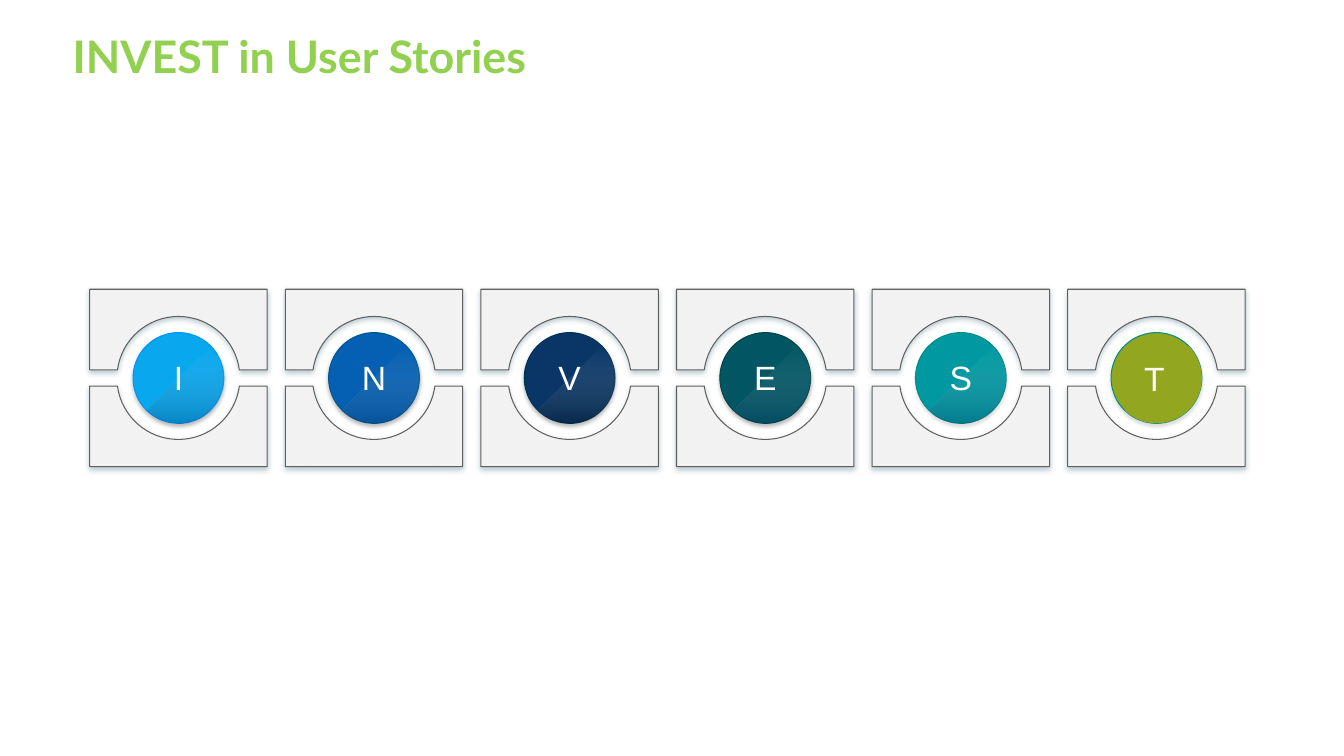
from dataclasses import dataclass
from math import asin, cos, degrees, radians, sin, tan

from lxml.etree import SubElement
from pptx import Presentation
from pptx.dml.color import RGBColor
from pptx.enum.shapes import MSO_SHAPE
from pptx.enum.text import MSO_ANCHOR, MSO_AUTO_SIZE, PP_ALIGN
from pptx.oxml.ns import qn
from pptx.shapes.autoshape import Shape
from pptx.slide import Slide
from pptx.util import Inches, Pt

WHITE = RGBColor(0xFF, 0xFF, 0xFF)
BLACK = RGBColor(0x00, 0x00, 0x00)
TITLE_GREEN = RGBColor(0x92, 0xD0, 0x50)
PANEL_FILL = RGBColor(0xF2, 0xF2, 0xF2)
PANEL_LINE = RGBColor(0x60, 0x60, 0x60)
PANEL_SHADOW = RGBColor(0x00, 0x46, 0x5B)
SHEEN_BLUE = RGBColor(0x01, 0x31, 0x5D)
SHEEN_DARK = RGBColor(0x00, 0x0C, 0x16)
OLIVE = RGBColor(0x93, 0xA6, 0x20)
TEAL_LINE = RGBColor(0x04, 0x8C, 0x89)

FIRST_X, PITCH, CENTER_Y = 1.77, 1.94, 3.75
HALF_PANEL, HALF_GAP = 0.88, 0.08
CUTOUT_RADIUS, DISC_RADIUS = 0.61, 0.45
LETTER_W, LETTER_H, LETTER_TOP = 0.89, 0.5, 3.49

Point = tuple[float, float]


@dataclass(frozen=True)
class Shadow:
    color: RGBColor
    alpha: int
    blur: float
    distance: float


PANEL_DROP = Shadow(PANEL_SHADOW, 27, 4, 2)
DISC_DROP = Shadow(BLACK, 27, 3, 2)
SOFT_DROP = Shadow(BLACK, 13, 2, 2)


@dataclass(frozen=True)
class Badge:
    letter: str
    fill: RGBColor
    line: RGBColor
    shadow: Shadow = DISC_DROP
    sheen: RGBColor = SHEEN_BLUE
    sheen_alpha: int = 29
    letter_dx: float = 0
    letter_dy: float = 0


BADGES = [
    Badge("I", RGBColor(0x08, 0xA7, 0xEE), RGBColor(0x01, 0x95, 0xF9)),
    Badge("N", RGBColor(0x05, 0x60, 0xB3), RGBColor(0x01, 0x56, 0x8F)),
    Badge("V", RGBColor(0x09, 0x36, 0x67), RGBColor(0x01, 0x32, 0x53),
          sheen=SHEEN_DARK, sheen_alpha=35),
    Badge("E", RGBColor(0x02, 0x56, 0x63), RGBColor(0x03, 0x45, 0x43)),
    Badge("S", RGBColor(0x01, 0x99, 0xA1), TEAL_LINE, SOFT_DROP),
    Badge("T", OLIVE, TEAL_LINE, SOFT_DROP, OLIVE, 100, -0.02, 0.01),
]


def arc(cx: float, radius: float, stops: list[float], side: int = 1) -> list[Point]:
    """Bezier points of an arc through the stops (degrees); side -1 mirrors it upwards."""
    def at(angle: float, pull: float = 0) -> Point:
        """Point at the angle, pulled along the tangent."""
        a = radians(angle)
        return (cx + radius * (cos(a) - pull * sin(a)),
                CENTER_Y + side * radius * (sin(a) + pull * cos(a)))

    points = [at(stops[0])]
    for start, end in zip(stops, stops[1:]):
        pull = 4 / 3 * tan(radians(end - start) / 4)
        points += [at(start, pull), at(end, -pull), at(end)]
    return points


def add_outline(slide: Slide, curve: list[Point], corners: list[Point]) -> Shape:
    """Closed outline: Bezier points first, then straight edges to the corners."""
    (x, y), *rest = [(Inches(px), Inches(py)) for px, py in curve + corners]
    builder = slide.shapes.build_freeform(x, y)
    builder.add_line_segments(rest, close=True)
    sp = builder.convert_to_shape()
    lines = list(sp.element.iter(qn("a:lnTo")))[:len(curve) - 1]
    for i in range(0, len(lines), 3):
        bezier = lines[i].makeelement(qn("a:cubicBezTo"))
        lines[i].addprevious(bezier)
        for line in lines[i:i + 3]:
            bezier.append(line[0])
            line.getparent().remove(line)
    return sp


def style(sp: Shape, fill: RGBColor, line: RGBColor, shadow: Shadow) -> None:
    sp.fill.solid()
    sp.fill.fore_color.rgb = fill
    sp.line.color.rgb = line
    sp.line.width = Pt(0.75)
    sp.shadow.inherit = False
    effects = sp.element.spPr.find(qn("a:effectLst"))
    drop = SubElement(effects, qn("a:outerShdw"), {
        "blurRad": str(Pt(shadow.blur)), "dist": str(Pt(shadow.distance)),
        "dir": "5400000", "algn": "t", "rotWithShape": "0"})
    color = SubElement(drop, qn("a:srgbClr"), val=str(shadow.color))
    SubElement(color, qn("a:alpha"), val=str(shadow.alpha * 1000))


def add_panel(slide: Slide, cx: float, side: int) -> None:
    """Half of a square frame around a disc: side -1 is above, 1 below."""
    start = degrees(asin(HALF_GAP / CUTOUT_RADIUS))
    inner, outer = CENTER_Y + side * HALF_GAP, CENTER_Y + side * HALF_PANEL
    left, right = cx - HALF_PANEL, cx + HALF_PANEL
    corners = [(left, inner), (left, outer), (right, outer), (right, inner)]
    sp = add_outline(slide, arc(cx, CUTOUT_RADIUS, [start, 90, 180 - start], side), corners)
    style(sp, PANEL_FILL, PANEL_LINE, PANEL_DROP)


def add_disc(slide: Slide, cx: float, badge: Badge) -> None:
    sp = slide.shapes.add_shape(
        MSO_SHAPE.OVAL, Inches(cx - DISC_RADIUS), Inches(CENTER_Y - DISC_RADIUS),
        Inches(2 * DISC_RADIUS), Inches(2 * DISC_RADIUS))
    style(sp, badge.fill, badge.line, badge.shadow)


def add_sheen(slide: Slide, cx: float, badge: Badge) -> None:
    """Lower right half of the disc, fading upwards unless opaque."""
    sp = add_outline(slide, arc(cx, DISC_RADIUS, [-45, 0, 90, 135]), [])
    sp.shadow.inherit = False
    sp.line.fill.background()
    if badge.sheen_alpha == 100:
        sp.fill.solid()
        sp.fill.fore_color.rgb = badge.sheen
        return
    sp.fill.gradient()
    sp.fill.gradient_angle = 90
    for stop, color in zip(sp.fill.gradient_stops, (badge.sheen, WHITE)):
        stop.color.rgb = color
    colors = sp.element.spPr.iter(qn("a:srgbClr"))
    for color, alpha in zip(list(colors), (badge.sheen_alpha, 0)):
        SubElement(color, qn("a:alpha"), val=str(alpha * 1000))


def add_letter(slide: Slide, cx: float, badge: Badge) -> None:
    box = slide.shapes.add_textbox(
        Inches(cx - LETTER_W / 2 + badge.letter_dx), Inches(LETTER_TOP + badge.letter_dy),
        Inches(LETTER_W), Inches(LETTER_H))
    tf = box.text_frame
    tf.word_wrap = True
    tf.auto_size = MSO_AUTO_SIZE.SHAPE_TO_FIT_TEXT
    tf.vertical_anchor = MSO_ANCHOR.MIDDLE
    p = tf.paragraphs[0]
    p.text = badge.letter
    p.alignment = PP_ALIGN.CENTER
    p.font.name = "Arial"
    p.font.size = Pt(24)
    p.font.color.rgb = WHITE


def set_title(slide: Slide, text: str) -> None:
    title = slide.shapes.title
    title.left, title.top = Inches(0.67), Inches(0.26)
    title.width, title.height = Inches(12.94), Inches(0.68)
    tf = title.text_frame
    tf.margin_left = tf.margin_right = tf.margin_top = tf.margin_bottom = Inches(0.05)
    tf.vertical_anchor = MSO_ANCHOR.MIDDLE
    tf.auto_size = MSO_AUTO_SIZE.NONE
    p = tf.paragraphs[0]
    p.text = text
    p.alignment = PP_ALIGN.LEFT
    p.line_spacing = 0.8
    p.font.name = "Lato"
    p.font.size = Pt(32)
    p.font.bold = True
    p.font.color.rgb = TITLE_GREEN


def main() -> None:
    prs = Presentation()
    prs.slide_width, prs.slide_height = Inches(13.33), Inches(7.5)
    slide = prs.slides.add_slide(prs.slide_layouts[5])
    set_title(slide, "INVEST in User Stories")
    for i, badge in enumerate(BADGES):
        cx = FIRST_X + i * PITCH
        for side in (-1, 1):
            add_panel(slide, cx, side)
        add_disc(slide, cx, badge)
        add_sheen(slide, cx, badge)
        add_letter(slide, cx, badge)
    prs.save("out.pptx")


if __name__ == "__main__":
    main()
